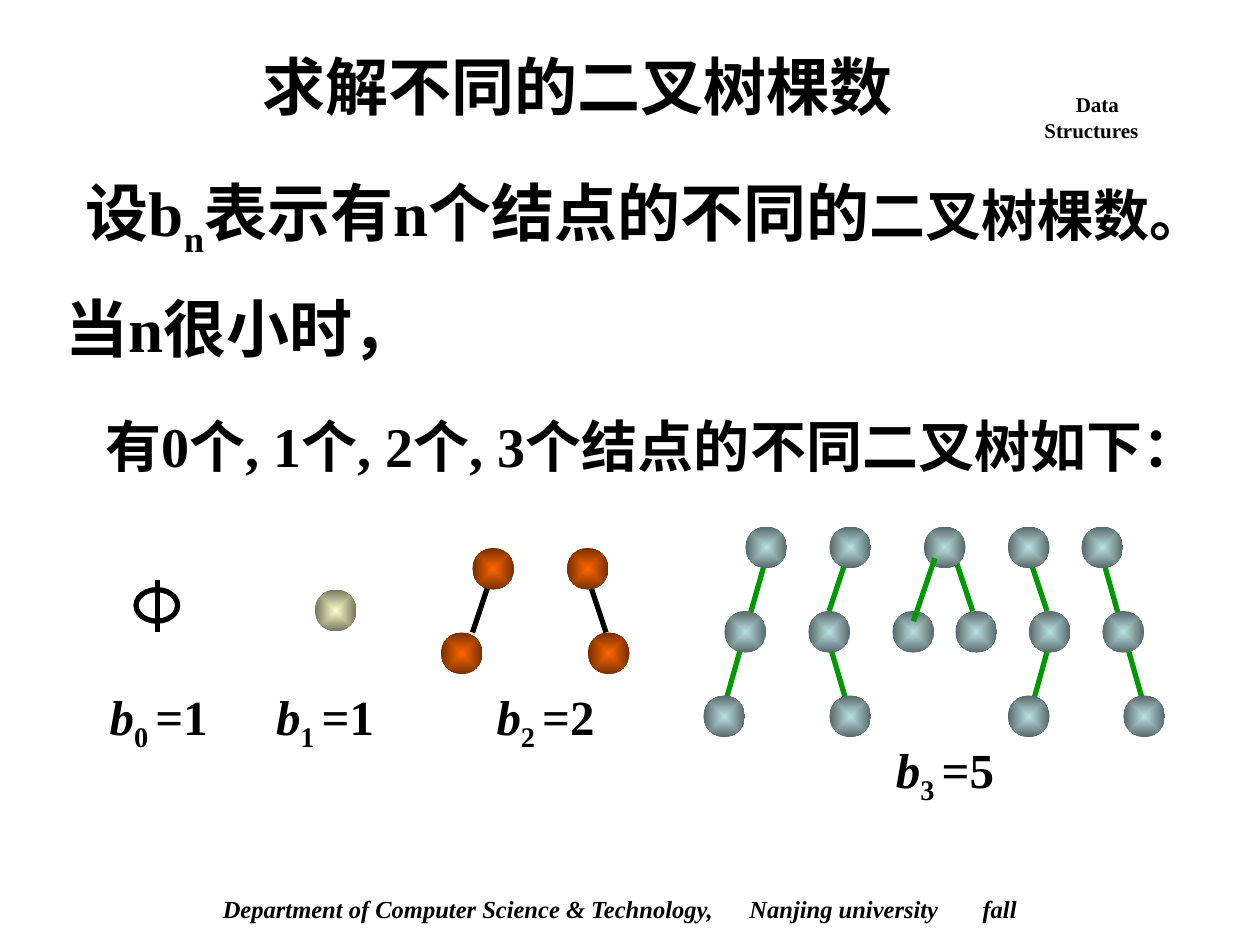
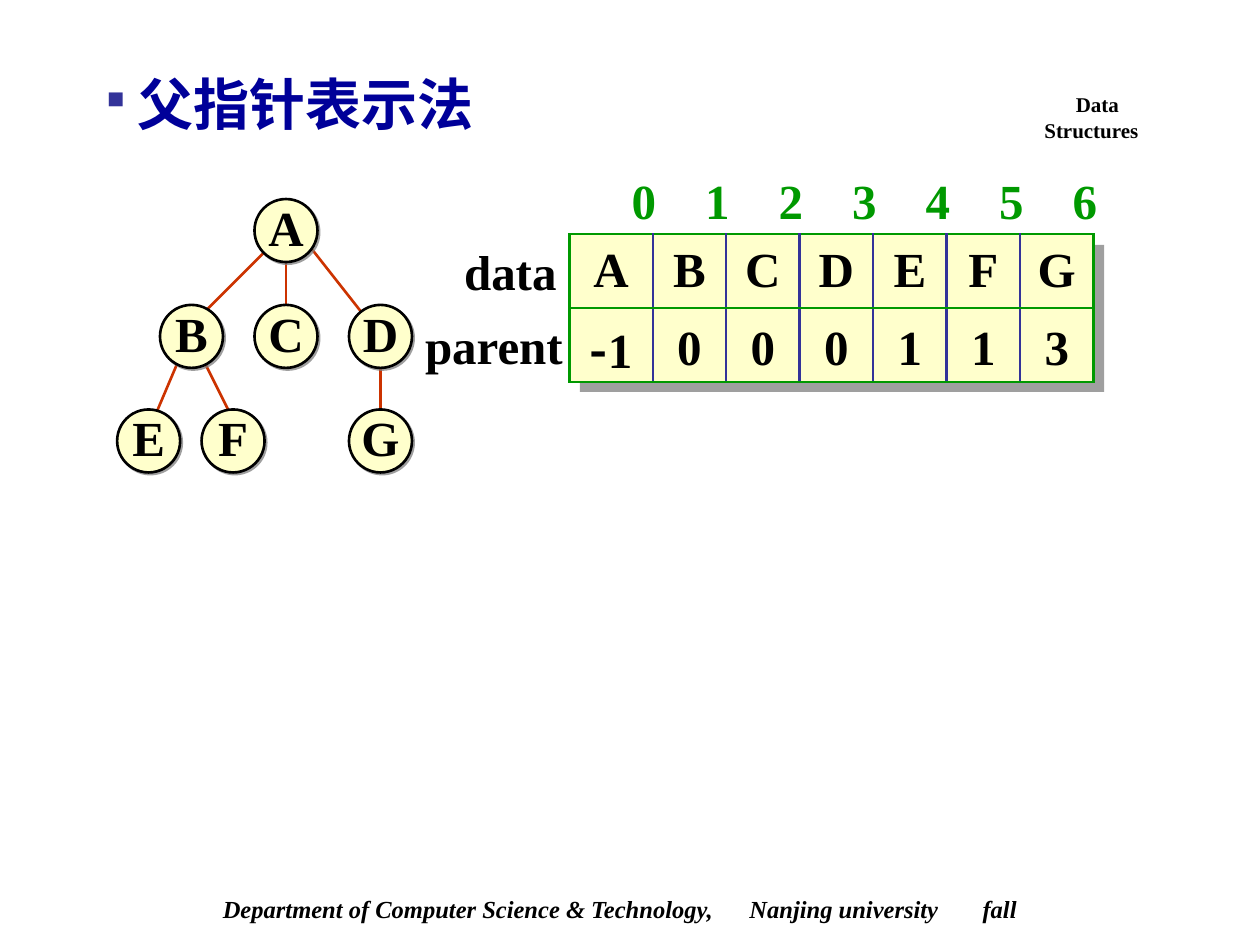
from lxml.etree import SubElement
from pptx import Presentation
from pptx.dml.color import RGBColor
from pptx.enum.shapes import MSO_CONNECTOR, MSO_SHAPE
from pptx.enum.text import MSO_ANCHOR, PP_ALIGN
from pptx.oxml import parse_xml
from pptx.oxml.ns import nsdecls, qn
from pptx.util import Inches, Pt

# Shared style
WIDTH, HEIGHT = 10, 7.5
LATIN, CHINESE = "Times New Roman", "Noto Sans CJK SC"
BLACK, CREAM, GREEN, RED, BLUE, NAVY, GREY = (
    "000000", "FFFFCC", "009900", "CC3300", "333399", "000099", "808080")
LEFT, CENTER = PP_ALIGN.LEFT, PP_ALIGN.CENTER
FOOTER = [(1.67, 4.2, "Department of Computer Science & Technology,"),
          (5.85, 1.8, "Nanjing university"), (7.7, 0.8, "fall")]

# Slide 1: text as (left, top, width, height), spans, format
STATEMENTS = [
    ((1.17, 0.33, 6.83, 0.7), ["求解不同的二叉树棵数"], dict(size=36, align=CENTER)),
    ((0.25, 1.33, 9.75, 0.79),
     ["设b", ("n", dict(subscript=True)), "表示有n个结点的不同的",
      ("二叉树棵数。", dict(size=32))], dict(size=36, align=CENTER)),
    ((0.42, 2.25, 5.17, 0.7), ["当n很小时，"], dict(size=36)),
    ((0.33, 3.22, 9.4, 1.17), ["有0个, 1个, 2个, 3个结点的不同二叉树如下："],
     dict(size=32, indent=0.41)),
]
COUNTS = [("0", "1", 1.26, 5.4), ("1", "1", 2.58, 5.4),
          ("2", "2", 4.33, 5.4), ("3", "5", 7.5, 5.82)]
# Binary trees: nodes as (column, level), links behind and in front as x, y, x, y
UNIT, LEVEL, NODE = 1 / 12, 0.67, 0.33
FORESTS = [
    (4.68, "FFFFCC", "76765E", BLACK, [([(30, 0)], [], [])]),
    (4.35, "FF6600", "762F00", BLACK, [
        ([(45, 0), (42, 1)], [(3.89, 4.6, 3.75, 5.02)], []),
        ([(54, 0), (56, 1)], [(4.67, 4.6, 4.81, 5.02)], [])]),
    (4.18, "BBE0E3", "576869", GREEN, [
        ([(71, 0), (69, 1), (67, 2)], [(6.08, 4.43, 5.75, 5.6)], []),
        ([(79, 0), (77, 1), (79, 2)],
         [(6.72, 4.43, 6.58, 4.85), (6.58, 5.1, 6.75, 5.68)], []),
        ([(88, 0), (85, 1), (91, 1)],
         [(7.58, 4.43, 7.72, 4.85)], [(7.42, 4.43, 7.25, 4.93)]),
        ([(96, 0), (98, 1), (96, 2)],
         [(8.17, 4.43, 8.31, 4.85), (8.33, 5.1, 8.17, 5.68)], []),
        ([(103, 0), (105, 1), (107, 2)], [(8.75, 4.43, 9.08, 5.6)], [])]),
]

# Slide 2: each node with the index of its parent and its centre
TREE = [("A", -1, 2.27, 1.83), ("B", 0, 1.52, 2.67), ("C", 0, 2.27, 2.67),
        ("D", 0, 3.02, 2.67), ("E", 1, 1.18, 3.5), ("F", 1, 1.85, 3.5),
        ("G", 3, 3.02, 3.5)]
LINKS = [(2.1, 2, 1.6, 2.5), (2.27, 2, 2.27, 2.5), (2.43, 1.92, 3.02, 2.67),
         (1.43, 2.83, 1.18, 3.42), (1.6, 2.83, 1.85, 3.33), (3.02, 2.83, 3.02, 3.42)]
CIRCLE = 0.5
TABLE_LEFT, TABLE_TOP, ROW = 4.52, 1.86, 7 / 12
FIRST_COLUMN, COLUMN = 0.66, 7 / 12


def rgb(code):
    return RGBColor.from_string(code)


def write(para, spans, size=28, color=BLACK, italic=False, font=LATIN,
          subscript=False, align=LEFT, margin=0, indent=0, bullet=None):
    """Fill one paragraph; a span is text or (text, changes to the format)."""
    para.alignment = align
    props = para._p.get_or_add_pPr()
    props.set("marL", str(Inches(margin)))
    props.set("indent", str(Inches(indent)))
    if bullet:
        SubElement(SubElement(props, qn("a:buClr")), qn("a:srgbClr"), val=BLUE)
        SubElement(props, qn("a:buSzPct"), val="43000")
        SubElement(props, qn("a:buChar"), char=bullet)
    base = dict(size=size, color=color, italic=italic, font=font, subscript=subscript)
    for span in spans:
        words, changes = (span, {}) if isinstance(span, str) else span
        style = {**base, **changes}
        run = para.add_run()
        run.text = words
        run.font.size, run.font.bold, run.font.italic = Pt(style["size"]), True, style["italic"]
        run.font.color.rgb = rgb(style["color"])
        run.font.name = style["font"]
        run_props = run._r.get_or_add_rPr()
        SubElement(run_props, qn("a:ea"), typeface=CHINESE)
        if style["subscript"]:
            run_props.set("baseline", "-25000")


def add_text(page, place, spans, wrap=True, anchor=MSO_ANCHOR.TOP, **style):
    frame = page.shapes.add_textbox(*map(Inches, place)).text_frame
    frame.word_wrap, frame.vertical_anchor = wrap, anchor
    write(frame.paragraphs[0], spans, **style)
    return frame


def add_label(page, center, top, width, height, spans, **style):
    add_text(page, (center - width / 2, top, width, height), spans, wrap=False,
             anchor=MSO_ANCHOR.MIDDLE, align=CENTER, **style)


def add_line(page, ends, color, width):
    line = page.shapes.add_connector(MSO_CONNECTOR.STRAIGHT, *map(Inches, ends))
    line.line.color.rgb, line.line.width = rgb(color), Pt(width)
    SubElement(line._element.spPr, qn("a:effectLst"))


def add_figure(page, kind, place, fill=None, line=None, width=1.5, shadow=0):
    figure = page.shapes.add_shape(kind, *map(Inches, place))
    figure.shadow.inherit = False
    if fill:
        figure.fill.solid()
        figure.fill.fore_color.rgb = rgb(fill)
    else:
        figure.fill.background()
    if line:
        figure.line.color.rgb, figure.line.width = rgb(line), Pt(width)
    else:
        figure.line.fill.background()
    if shadow:
        effects = figure._element.spPr.find(qn("a:effectLst"))
        outer = SubElement(effects, qn("a:outerShdw"), blurRad="0",
                           dist=str(Pt(shadow)), dir="2700000", algn="ctr", rotWithShape="0")
        color = SubElement(outer, qn("a:srgbClr"), val=GREY)
        SubElement(color, qn("a:alpha"), val="75000")
    return figure


def add_ball(page, left, top, light, dark):
    ball = add_figure(page, MSO_SHAPE.OVAL, (left, top, NODE, NODE), light)
    props = ball._element.spPr
    gradient = parse_xml(
        f'<a:gradFill {nsdecls("a")} rotWithShape="0"><a:gsLst>'
        f'<a:gs pos="0"><a:srgbClr val="{light}"/></a:gs>'
        f'<a:gs pos="100000"><a:srgbClr val="{dark}"/></a:gs></a:gsLst>'
        '<a:path path="rect"><a:fillToRect l="50000" t="50000" r="50000" b="50000"/>'
        '</a:path></a:gradFill>')
    props.replace(props.find(qn("a:solidFill")), gradient)


def add_page(deck):
    """A blank page with the course mark and the footer."""
    page = deck.slides.add_slide(deck.slide_layouts[6])
    mark = add_text(page, (8.19, 0.68, 1.38, 0.5), ["Data"], size=12, margin=0.25)
    write(mark.add_paragraph(), ["Structures"], size=12)
    for left, width, words in FOOTER:
        add_text(page, (left, 7.05, width, 0.34), [words], size=14, italic=True)
    return page


def draw_counting(page):
    for place, spans, style in STATEMENTS:
        add_text(page, place, spans, **style)
    # Empty tree sign
    add_figure(page, MSO_SHAPE.OVAL, (1.08, 4.68, 0.33, 0.25), line=BLACK, width=3)
    add_line(page, (1.25, 4.6, 1.25, 5.02), BLACK, 3)
    # Trees
    for top, light, dark, link_color, trees in FORESTS:
        for nodes, behind, in_front in trees:
            for link in behind:
                add_line(page, link, link_color, 3)
            for column, level in nodes:
                add_ball(page, column * UNIT, top + level * LEVEL, light, dark)
            for link in in_front:
                add_line(page, link, link_color, 3)
    for index, count, center, top in COUNTS:
        add_label(page, center, top, 1.1, 0.63,
                  [("b", dict(italic=True)), (index + " ", dict(subscript=True)), "=" + count])


def set_borders(cell, first, last):
    """Green rows and outer sides, blue column rules."""
    props = cell._tc.get_or_add_tcPr()
    sides = [("a:lnL", GREEN if first else BLUE), ("a:lnR", GREEN if last else BLUE),
             ("a:lnT", GREEN), ("a:lnB", GREEN)]
    for position, (side, color) in enumerate(sides):
        border = parse_xml(f'<{side} {nsdecls("a")} w="{Pt(1.5)}"><a:solidFill>'
                           f'<a:srgbClr val="{color}"/></a:solidFill></{side}>')
        props.insert(position, border)


def draw_parent_table(page):
    widths = [FIRST_COLUMN] + [COLUMN] * (len(TREE) - 1)
    place = (TABLE_LEFT, TABLE_TOP, sum(widths), 2 * ROW)
    add_figure(page, MSO_SHAPE.RECTANGLE, place, CREAM, shadow=8.5)
    table = page.shapes.add_table(2, len(TREE), *map(Inches, place)).table
    table.first_row = table.horz_banding = False
    for column, (width, node) in enumerate(zip(widths, TREE)):
        table.columns[column].width = Inches(width)
        for row, value in enumerate(node[:2]):
            cell = table.cell(row, column)
            cell.margin_left = cell.margin_right = 0
            cell.margin_top = Inches(0.09 if row and value >= 0 else 0.03)
            cell.margin_bottom = Inches(0.03)
            cell.vertical_anchor = MSO_ANCHOR.MIDDLE
            cell.fill.solid()
            cell.fill.fore_color.rgb = rgb(CREAM)
            set_borders(cell, column == 0, column == len(TREE) - 1)
            spans = [("-", dict(font=CHINESE)), "1"] if value == -1 else [str(value)]
            write(cell.text_frame.paragraphs[0], spans, align=CENTER)
    # Row names and index numbers
    add_label(page, 4.05, TABLE_TOP, 1.2, ROW, ["data"])
    add_label(page, 3.92, TABLE_TOP + ROW, 1.4, ROW, ["parent"])
    for index in range(len(TREE)):
        add_label(page, 5.11 + index * COLUMN, 1.3, 0.5, 0.57, [str(index)], color=GREEN)


def draw_parent_pointers(page):
    add_text(page, (0.75, 0.5, 4.17, 0.64), ["父指针表示法"], size=32, color=NAVY,
             margin=0.24, indent=-0.24, bullet="■")
    for link in LINKS:
        add_line(page, link, RED, 1.5)
    for name, parent, x, y in TREE:
        circle = add_figure(page, MSO_SHAPE.OVAL,
                            (x - CIRCLE / 2, y - CIRCLE / 2, CIRCLE, CIRCLE),
                            CREAM, BLACK, shadow=1.4)
        frame = circle.text_frame
        frame.word_wrap, frame.vertical_anchor = False, MSO_ANCHOR.MIDDLE
        frame.margin_left = frame.margin_right = frame.margin_top = 0
        frame.margin_bottom = Inches(0.06)
        write(frame.paragraphs[0], [name], align=CENTER)
    draw_parent_table(page)


def main():
    deck = Presentation()
    deck.slide_width, deck.slide_height = Inches(WIDTH), Inches(HEIGHT)
    draw_counting(add_page(deck))
    draw_parent_pointers(add_page(deck))
    deck.save("out.pptx")


if __name__ == "__main__":
    main()
